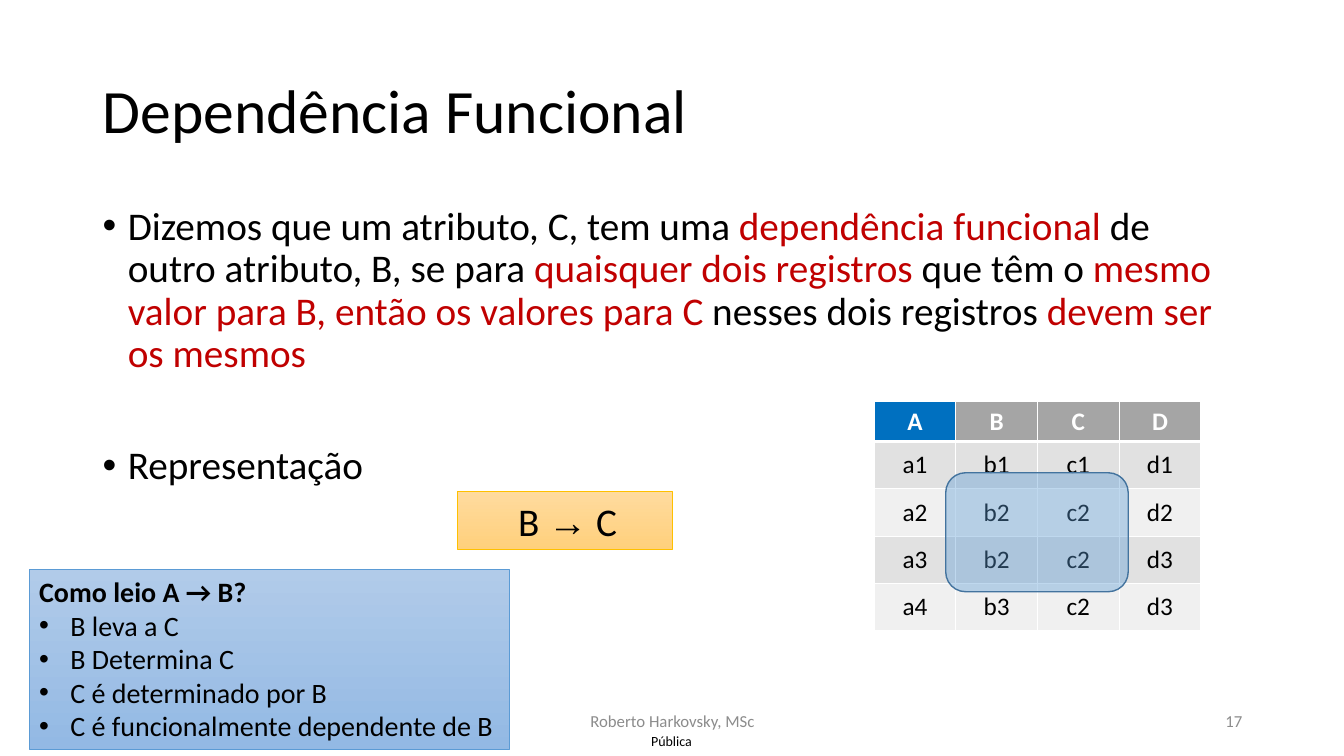
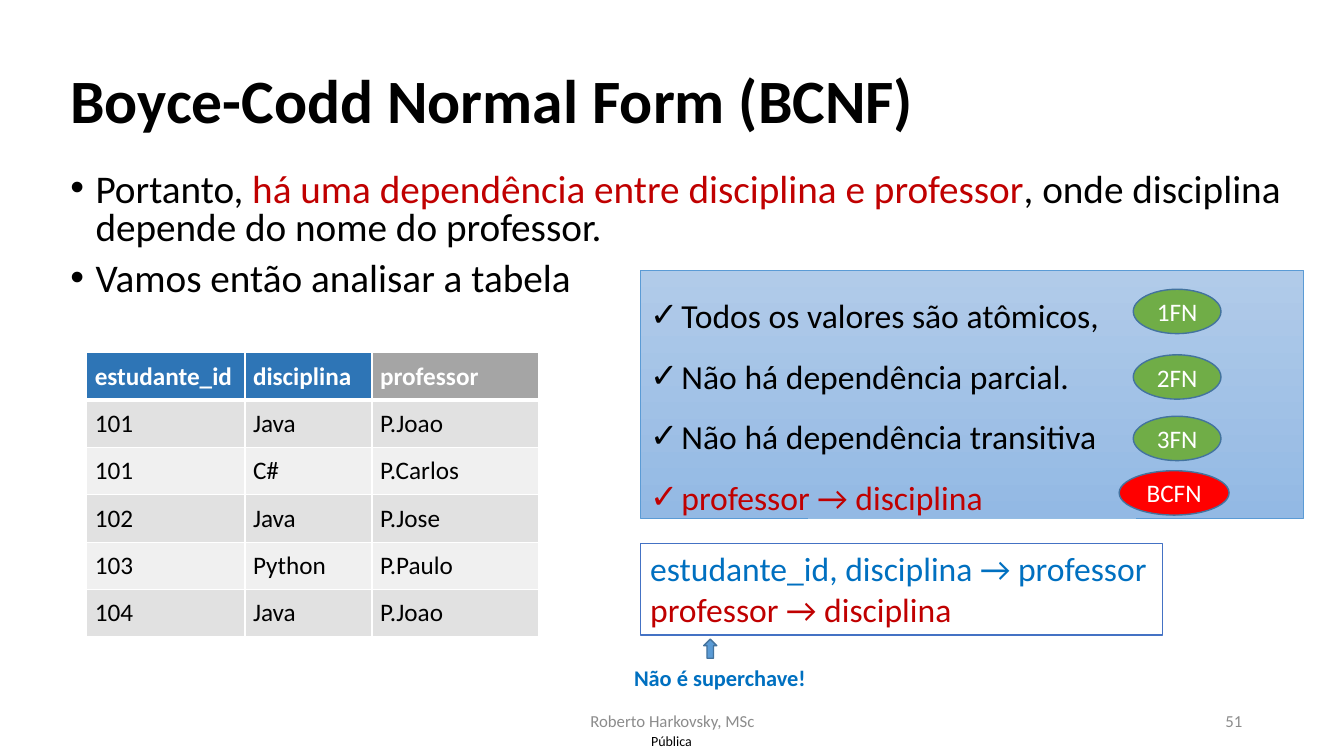
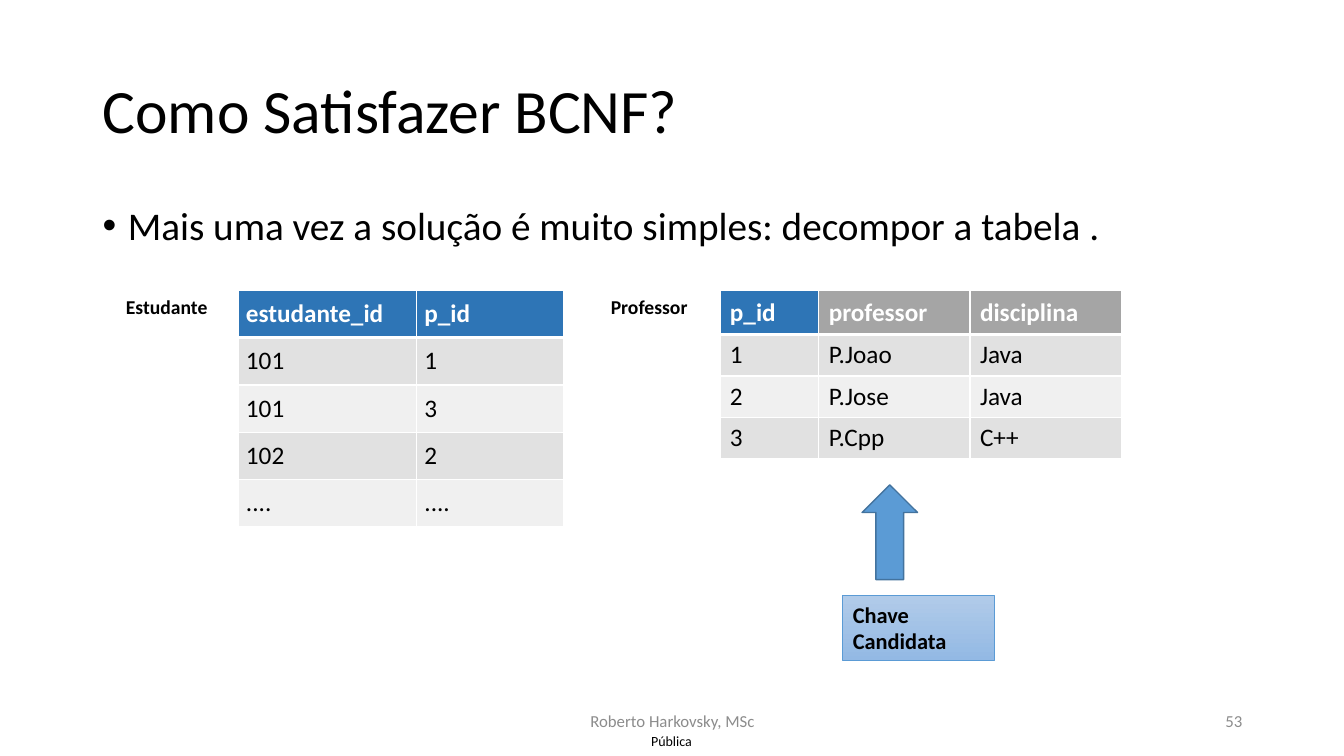
from dataclasses import dataclass
from typing import NamedTuple

from lxml import etree
from pptx import Presentation
from pptx.dml.color import RGBColor
from pptx.enum.shapes import MSO_SHAPE as Shape
from pptx.enum.text import MSO_ANCHOR as Anchor, PP_ALIGN as Align
from pptx.oxml import parse_xml
from pptx.oxml.ns import nsdecls, qn
from pptx.util import Inches, Pt

FONT = "Calibri"
SYMBOL_FONT = "Arial"

BLACK = RGBColor(0x00, 0x00, 0x00)
WHITE = RGBColor(0xFF, 0xFF, 0xFF)
GRAY = RGBColor(0x8C, 0x8C, 0x8C)
RED = RGBColor(0xC0, 0x00, 0x00)
BRIGHT_RED = RGBColor(0xFF, 0x00, 0x00)
BLUE = RGBColor(0x00, 0x70, 0xC0)
KEY_BLUE = RGBColor(0x2E, 0x75, 0xB6)
ACCENT = RGBColor(0x5B, 0x9B, 0xD5)
ACCENT_DARK = RGBColor(0x43, 0x73, 0x9E)
FRAME_BLUE = RGBColor(0x44, 0x72, 0xC4)
GREEN = RGBColor(0x70, 0xAD, 0x47)
GOLD = RGBColor(0xFF, 0xC0, 0x00)
HEADER_GRAY = RGBColor(0xA5, 0xA5, 0xA5)
BANDS = (RGBColor(0xE1, 0xE1, 0xE1), RGBColor(0xF0, 0xF0, 0xF0))
BLUE_GRADIENT = (RGBColor(0xB1, 0xCB, 0xE9), RGBColor(0x93, 0xB9, 0xE4))
GOLD_GRADIENT = (RGBColor(0xFF, 0xDB, 0x9E), RGBColor(0xFF, 0xD0, 0x7C))


class Box(NamedTuple):
    left: float
    top: float
    width: float
    height: float

    def inches(self) -> list:
        return [Inches(v) for v in self]


class Run(NamedTuple):
    text: str
    color: RGBColor = BLACK
    font: str = FONT


@dataclass
class Para:
    runs: list[Run]
    size: float = 28
    bold: bool = False
    align: Align = Align.LEFT
    bullet: str = ""
    indent: float = 0
    spacing: float = 1
    before: float = 0


@dataclass
class Grid:
    """A table: header fills by column, then the rows of text."""
    box: Box
    widths: list[float]
    header_fills: list[RGBColor]
    rows: list[list[str]]
    header_height: float = 0.47
    row_height: float = 0.47
    margin: float = 0.08
    align: Align = Align.LEFT


def plain(text: str, color: RGBColor = BLACK, **style) -> Para:
    return Para([Run(text, color)], **style)


def body_para(*runs: Run, **style) -> Para:
    return Para(list(runs), bullet="•", indent=0.25, **{"spacing": 0.9, **style})


def write_para(p, para: Para) -> None:
    p_pr = p._p.get_or_add_pPr()
    if para.indent:
        p_pr.set("marL", str(Inches(para.indent)))
    if para.bullet:
        p_pr.set("indent", str(-Inches(para.indent)))
        etree.SubElement(p_pr, qn("a:buFont")).set("typeface", SYMBOL_FONT)
        etree.SubElement(p_pr, qn("a:buChar")).set("char", para.bullet)
    p.alignment = para.align
    p.line_spacing = para.spacing
    if para.before:
        p.space_before = Pt(para.before)
    for run in para.runs:
        r = p.add_run()
        r.text = run.text
        r.font.name = run.font
        r.font.size = Pt(para.size)
        r.font.bold = para.bold
        r.font.color.rgb = run.color


def write_text(tf, paras: list[Para], anchor: Anchor, wrap: bool) -> None:
    tf.word_wrap = wrap
    tf.vertical_anchor = anchor
    for i, para in enumerate(paras):
        write_para(tf.add_paragraph() if i else tf.paragraphs[0], para)


def add_text(s, box: Box, *paras: Para, anchor: Anchor = Anchor.TOP, wrap: bool = True):
    sp = s.shapes.add_textbox(*box.inches())
    write_text(sp.text_frame, list(paras), anchor, wrap)
    return sp


def add_panel(s, kind: Shape, box: Box, fill: RGBColor | tuple, line: RGBColor,
              *paras: Para, line_width: float = 1, anchor: Anchor = Anchor.TOP,
              wrap: bool = True):
    """Add a preset shape; a pair of colours as fill gives a vertical gradient."""
    sp = s.shapes.add_shape(kind, *box.inches())
    sp.shadow.inherit = False
    if isinstance(fill, RGBColor):
        sp.fill.solid()
        sp.fill.fore_color.rgb = fill
    else:
        sp.fill.gradient()
        sp.fill.gradient_angle = 270
        for stop, color in zip(sp.fill.gradient_stops, fill):
            stop.color.rgb = color
    sp.line.color.rgb = line
    sp.line.width = Pt(line_width)
    write_text(sp.text_frame, list(paras), anchor, wrap)
    return sp


def add_gradient_box(s, box: Box, *paras: Para, wrap: bool = True):
    return add_panel(s, Shape.RECTANGLE, box, BLUE_GRADIENT, ACCENT, *paras,
                     line_width=0.5, wrap=wrap)


def add_up_arrow(s, box: Box) -> None:
    add_panel(s, Shape.UP_ARROW, box, ACCENT, ACCENT_DARK)


def set_borders(cell, top: float, bottom: float) -> None:
    tc_pr = cell._tc.get_or_add_tcPr()
    for i, (side, width) in enumerate(zip("LRTB", (1, 1, top, bottom))):
        tc_pr.insert(i, parse_xml(
            f'<a:ln{side} {nsdecls("a")} w="{Pt(width)}"><a:solidFill>'
            f'<a:srgbClr val="{WHITE}"/></a:solidFill></a:ln{side}>'))


def add_grid(s, grid: Grid) -> None:
    table = s.shapes.add_table(len(grid.rows), len(grid.widths), *grid.box.inches()).table
    for column, width in zip(table.columns, grid.widths):
        column.width = Inches(width)
    for i, texts in enumerate(grid.rows):
        header = i == 0
        table.rows[i].height = Inches(grid.header_height if header else grid.row_height)
        for j, text in enumerate(texts):
            cell = table.cell(i, j)
            cell.fill.solid()
            cell.fill.fore_color.rgb = grid.header_fills[j] if header else BANDS[(i - 1) % 2]
            cell.margin_left = cell.margin_right = Inches(grid.margin)
            cell.vertical_anchor = Anchor.MIDDLE
            set_borders(cell, top=3 if i == 1 else 1, bottom=3 if header else 1)
            write_para(cell.text_frame.paragraphs[0],
                       plain(text, WHITE if header else BLACK, size=18, bold=header,
                             align=grid.align))


def new_slide(prs, title: str, number: int, title_at: tuple = (0.92, 0.4),
              bold: bool = False):
    """Add a slide with its title, footer, page number and classification mark."""
    s = prs.slides.add_slide(prs.slide_layouts[6])
    mark = add_text(s, Box(6.31, 7.21, 0.7, 0.29),
                    plain("Pública", size=10, align=Align.CENTER), anchor=Anchor.MIDDLE)
    tf = mark.text_frame
    tf.margin_left = tf.margin_right = tf.margin_top = tf.margin_bottom = 0
    add_text(s, Box(*title_at, 11.5, 1.45), plain(title, size=44, bold=bold, spacing=0.9),
             anchor=Anchor.MIDDLE)
    for left, width, text, align in (
            (4.42, 4.5, "Roberto Harkovsky, MSc", Align.CENTER),
            (9.42, 3, str(number), Align.RIGHT)):
        add_text(s, Box(left, 6.95, width, 0.4), plain(text, GRAY, size=12, align=align),
                 anchor=Anchor.MIDDLE)
    return s


def functional_dependency(prs) -> None:
    s = new_slide(prs, "Dependência Funcional", 17)
    add_text(
        s, Box(0.92, 2, 11.5, 4.76),
        body_para(Run("Dizemos que um atributo, C, tem uma "),
                  Run("dependência funcional ", RED),
                  Run("de outro atributo, B, se para "),
                  Run("quaisquer dois registros ", RED),
                  Run("que têm o "),
                  Run("mesmo valor para B, então os valores para C ", RED),
                  Run("nesses dois registros "),
                  Run("devem ser os mesmos", RED)),
        body_para(Run("Representação"), before=50))
    add_panel(s, Shape.RECTANGLE, Box(4.54, 4.88, 2.13, 0.57), GOLD_GRADIENT, GOLD,
              Para([Run("B "), Run("→", font=SYMBOL_FONT), Run(" C")], indent=0.5),
              line_width=0.5)
    readings = ["B leva a C", "B Determina C", "C é determinado por B",
                "C é funcionalmente dependente de B"]
    add_gradient_box(s, Box(0.29, 5.65, 4.76, 1.78),
                     plain("Como leio A → B?", size=20, bold=True),
                     *(plain(text, size=20, bullet="•", indent=0.31) for text in readings),
                     wrap=False)
    add_grid(s, Grid(
        Box(8.67, 3.98, 3.24, 2.28), [0.81] * 4, [BLUE] + [HEADER_GRAY] * 3,
        [["A", "B", "C", "D"],
         ["a1", "b1", "c1", "d1"],
         ["a2", "b2", "c2", "d2"],
         ["a3", "b2", "c2", "d3"],
         ["a4", "b3", "c2", "d3"]],
        header_height=0.4, align=Align.CENTER))
    highlight = add_panel(s, Shape.ROUNDED_RECTANGLE, Box(9.38, 4.69, 1.81, 1.18),
                          ACCENT, ACCENT_DARK)
    color = highlight._element.spPr.find(qn("a:solidFill"))[0]
    etree.SubElement(color, qn("a:alpha")).set("val", "39000")


def boyce_codd(prs) -> None:
    s = new_slide(prs, "Boyce-Codd Normal Form (BCNF)", 51, title_at=(0.6, 0.3), bold=True)
    add_text(
        s, Box(0.6, 1.67, 12.36, 1.45),
        body_para(Run("Portanto, "),
                  Run("há uma dependência entre disciplina e professor", RED),
                  Run(", onde disciplina depende do nome do professor."), spacing=0.8),
        body_para(Run("Vamos então analisar a tabela"), spacing=0.8, before=10))
    add_panel(s, Shape.RECTANGLE, Box(6.35, 5.39, 5.18, 0.91), WHITE, FRAME_BLUE,
              plain("estudante_id, disciplina → professor", BLUE, size=24),
              plain("professor → disciplina", RED, size=24), wrap=False)
    add_text(s, Box(6.19, 6.54, 2.13, 0.37),
             plain("Não é superchave!", BLUE, size=16, bold=True))
    add_up_arrow(s, Box(6.98, 6.34, 0.13, 0.19))
    add_grid(s, Grid(
        Box(0.86, 3.5, 4.48, 2.82), [1.57, 1.26, 1.65], [KEY_BLUE, KEY_BLUE, HEADER_GRAY],
        [["estudante_id", "disciplina", "professor"],
         ["101", "Java", "P.Joao"],
         ["101", "C#", "P.Carlos"],
         ["102", "Java", "P.Jose"],
         ["103", "Python", "P.Paulo"],
         ["104", "Java", "P.Joao"]]))
    checks = [("Todos os valores são atômicos,", BLACK),
              ("Não há dependência parcial.", BLACK),
              ("Não há dependência transitiva", BLACK),
              ("professor → disciplina", RED)]
    add_gradient_box(s, Box(6.35, 2.68, 6.58, 2.46),
                     *(plain(text, color, size=24, bullet="✓", indent=0.31, spacing=1.5)
                       for text, color in checks))
    for text, left, top, width, color in (
            ("1FN", 11.24, 2.87, 0.87, GREEN),
            ("2FN", 11.24, 3.52, 0.87, GREEN),
            ("3FN", 11.24, 4.13, 0.87, GREEN),
            ("BCFN", 11.1, 4.67, 1.09, BRIGHT_RED)):
        add_panel(s, Shape.OVAL, Box(left, top, width, 0.44), color, ACCENT_DARK,
                  plain(text, WHITE, size=18, align=Align.CENTER),
                  anchor=Anchor.MIDDLE, wrap=len(text) < 4)


def satisfying_bcnf(prs) -> None:
    s = new_slide(prs, "Como Satisfazer BCNF?", 53)
    add_text(s, Box(0.92, 2, 11.5, 1.52),
             body_para(Run("Mais uma vez a solução é muito simples: decompor a tabela .")))
    for left, width, name in ((1.15, 1.02, "Estudante"), (5.96, 0.97, "Professor")):
        add_text(s, Box(left, 2.88, width, 0.34), plain(name, size=14, bold=True), wrap=False)
    add_grid(s, Grid(
        Box(2.36, 2.88, 3.23, 2.35), [1.77, 1.46], [KEY_BLUE] * 2,
        [["estudante_id", "p_id"],
         ["101", "1"],
         ["101", "3"],
         ["102", "2"],
         ["....", "...."]]))
    add_grid(s, Grid(
        Box(7.14, 2.88, 3.98, 1.67), [0.98, 1.5, 1.5], [KEY_BLUE, HEADER_GRAY, HEADER_GRAY],
        [["p_id", "professor", "disciplina"],
         ["1", "P.Joao", "Java"],
         ["2", "P.Jose", "Java"],
         ["3", "P.Cpp", "C++"]],
        header_height=0.44, row_height=0.41, margin=0.1))
    add_up_arrow(s, Box(8.55, 4.81, 0.55, 0.94))
    add_gradient_box(s, Box(8.36, 5.91, 1.5, 0.64),
                     plain("Chave Candidata", size=16, bold=True))


def main() -> None:
    prs = Presentation()
    prs.slide_width = Inches(13.33)
    prs.slide_height = Inches(7.5)
    functional_dependency(prs)
    boyce_codd(prs)
    satisfying_bcnf(prs)
    prs.save("out.pptx")


if __name__ == "__main__":
    main()
